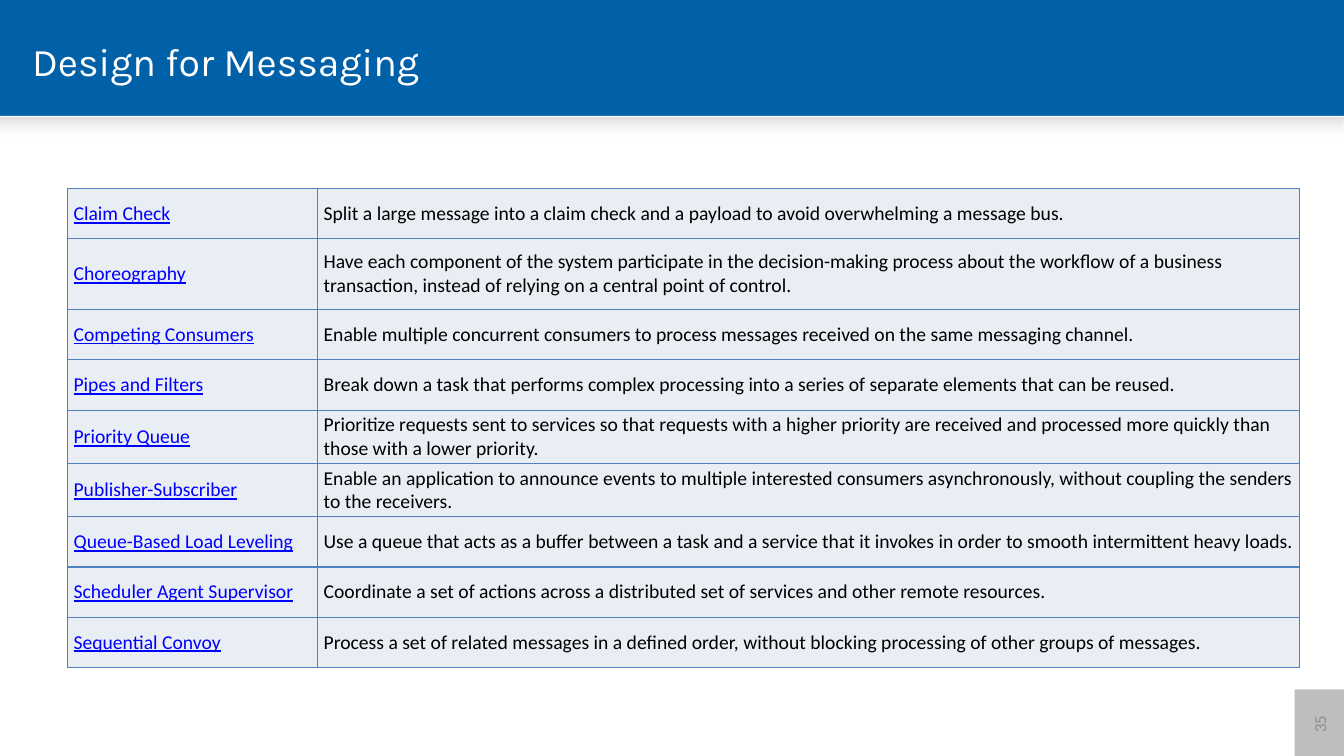
"""Build the Design for Messaging slide."""
from typing import NamedTuple

from lxml.etree import SubElement
from pptx import Presentation
from pptx.dml.color import RGBColor
from pptx.enum.shapes import MSO_SHAPE as Shape
from pptx.enum.text import MSO_ANCHOR as Anchor, PP_ALIGN as Align
from pptx.oxml import parse_xml
from pptx.oxml.ns import nsdecls, qn
from pptx.util import Inches, Pt

BLUE = RGBColor(0x00, 0x60, 0xA8)
WHITE = RGBColor(0xFF, 0xFF, 0xFF)
BLACK = RGBColor(0x00, 0x00, 0x00)
GREY = RGBColor(0x7F, 0x7F, 0x7F)
SILVER = RGBColor(0x8C, 0x8C, 0x8C)
PALE = RGBColor(0xE9, 0xED, 0xF4)
LINK = RGBColor(0x00, 0x00, 0xFF)
EDGE = RGBColor(0x4F, 0x81, 0xBD)


class Box(NamedTuple):
    left: float
    top: float
    width: float
    height: float


class Face(NamedTuple):
    name: str
    size: int
    color: RGBColor
    under: bool = False


class Stop(NamedTuple):
    place: int
    color: RGBColor
    alpha: int


class Row(NamedTuple):
    name: str
    text: str
    height: float = 0.5


PANEL = Box(0, 1.15, 13.33, 6.36)
SHADE = Box(0, 1.17, 13.33, 0.42)
BADGE = Box(12.74, 6.94, 0.69, 0.49)
TITLE = Box(0.22, 0.17, 11.35, 0.87)
GRID = Box(0.67, 1.87, 12.22, 4.78)
COLS = (2.48, 9.74)
HEAD = Face("Karla", 28, WHITE)
PAGE = Face("Calibri", 12, SILVER)
FACES = (Face("Calibri", 14, LINK, True), Face("Calibri", 14, BLACK))
STOPS = (
    Stop(0, BLACK, 13),
    Stop(48, RGBColor(0xE3, 0xE3, 0xE3), 0),
    Stop(66, WHITE, 0),
)
ROWS = (
    Row("Claim Check", "Split a large message into a claim check and a payload "
        "to avoid overwhelming a message bus."),
    Row("Choreography", "Have each component of the system participate in the "
        "decision-making process about the workflow of a business transaction, "
        "instead of relying on a central point of control.", 0.7),
    Row("Competing Consumers", "Enable multiple concurrent consumers to process "
        "messages received on the same messaging channel."),
    Row("Pipes and Filters", "Break down a task that performs complex processing "
        "into a series of separate elements that can be reused."),
    Row("Priority Queue", "Prioritize requests sent to services so that requests "
        "with a higher priority are received and processed more quickly than "
        "those with a lower priority."),
    Row("Publisher-Subscriber", "Enable an application to announce events to "
        "multiple interested consumers asynchronously, without coupling the "
        "senders to the receivers."),
    Row("Queue-Based Load Leveling", "Use a queue that acts as a buffer between "
        "a task and a service that it invokes in order to smooth intermittent "
        "heavy loads."),
    Row("Scheduler Agent Supervisor", "Coordinate a set of actions across a "
        "distributed set of services and other remote resources."),
    Row("Sequential Convoy", "Process a set of related messages in a defined "
        "order, without blocking processing of other groups of messages."),
)


def place(box: Box) -> tuple:
    return tuple(Inches(n) for n in box)


def write(frame, text: str, face: Face) -> None:
    run = frame.paragraphs[0].add_run()
    run.text = text
    font = run.font
    font.name, font.size = face.name, Pt(face.size)
    font.color.rgb, font.underline = face.color, face.under


def add_box(slide, box: Box, color: RGBColor):
    shape = slide.shapes.add_shape(Shape.RECTANGLE, *place(box))
    shape.shadow.inherit = False
    shape.fill.solid()
    shape.fill.fore_color.rgb = color
    shape.line.fill.background()
    return shape


def fade(shape) -> None:
    stops = "".join(
        f'<a:gs pos="{s.place * 1000}"><a:srgbClr val="{s.color}">'
        f'<a:alpha val="{s.alpha * 1000}"/></a:srgbClr></a:gs>' for s in STOPS)
    grad = parse_xml(
        f'<a:gradFill {nsdecls("a")} rotWithShape="1"><a:gsLst>{stops}</a:gsLst>'
        '<a:lin ang="5400000" scaled="0"/></a:gradFill>')
    props = shape.element.spPr
    props.replace(props.find(qn("a:solidFill")), grad)


def add_badge(slide) -> None:
    badge = add_box(slide, BADGE, GREY)
    badge.rotation = 270
    tint = badge.element.spPr.find(qn("a:solidFill"))[0]
    SubElement(tint, qn("a:alpha"), val="50000")
    frame = badge.text_frame
    frame.vertical_anchor = Anchor.MIDDLE
    frame.paragraphs[0].alignment = Align.CENTER
    write(frame, "35", PAGE)


def add_title(slide) -> None:
    frame = slide.shapes.add_textbox(*place(TITLE)).text_frame
    frame.word_wrap = True
    frame.vertical_anchor = Anchor.MIDDLE
    write(frame, "Design for Messaging", HEAD)


def fill_cell(cell, text: str, face: Face) -> None:
    cell.vertical_anchor = Anchor.MIDDLE
    cell.margin_left, cell.margin_right = Inches(0.06), Inches(0.05)
    cell.margin_top = cell.margin_bottom = Inches(0.03)
    cell.fill.solid()
    cell.fill.fore_color.rgb = PALE
    props = cell._tc.get_or_add_tcPr()
    for spot, side in enumerate(("lnL", "lnR", "lnT", "lnB")):
        props.insert(spot, parse_xml(
            f'<a:{side} {nsdecls("a")} w="{Pt(1)}"><a:solidFill>'
            f'<a:srgbClr val="{EDGE}"/></a:solidFill></a:{side}>'))
    write(cell.text_frame, text, face)


def add_grid(slide) -> None:
    table = slide.shapes.add_table(len(ROWS), len(COLS), *place(GRID)).table
    table.first_row = table.horz_banding = False
    for col, width in zip(table.columns, COLS):
        col.width = Inches(width)
    for line, row in zip(table.rows, ROWS):
        line.height = Inches(row.height)
        for cell, text, face in zip(line.cells, (row.name, row.text), FACES):
            fill_cell(cell, text, face)


def main() -> None:
    deck = Presentation()
    deck.slide_width, deck.slide_height = Inches(13.33), Inches(7.5)
    slide = deck.slides.add_slide(deck.slide_layouts[6])
    back = slide.background.fill
    back.solid()
    back.fore_color.rgb = BLUE
    add_box(slide, PANEL, WHITE)
    fade(add_box(slide, SHADE, WHITE))
    add_badge(slide)
    add_title(slide)
    add_grid(slide)
    deck.save("out.pptx")


if __name__ == "__main__":
    main()
